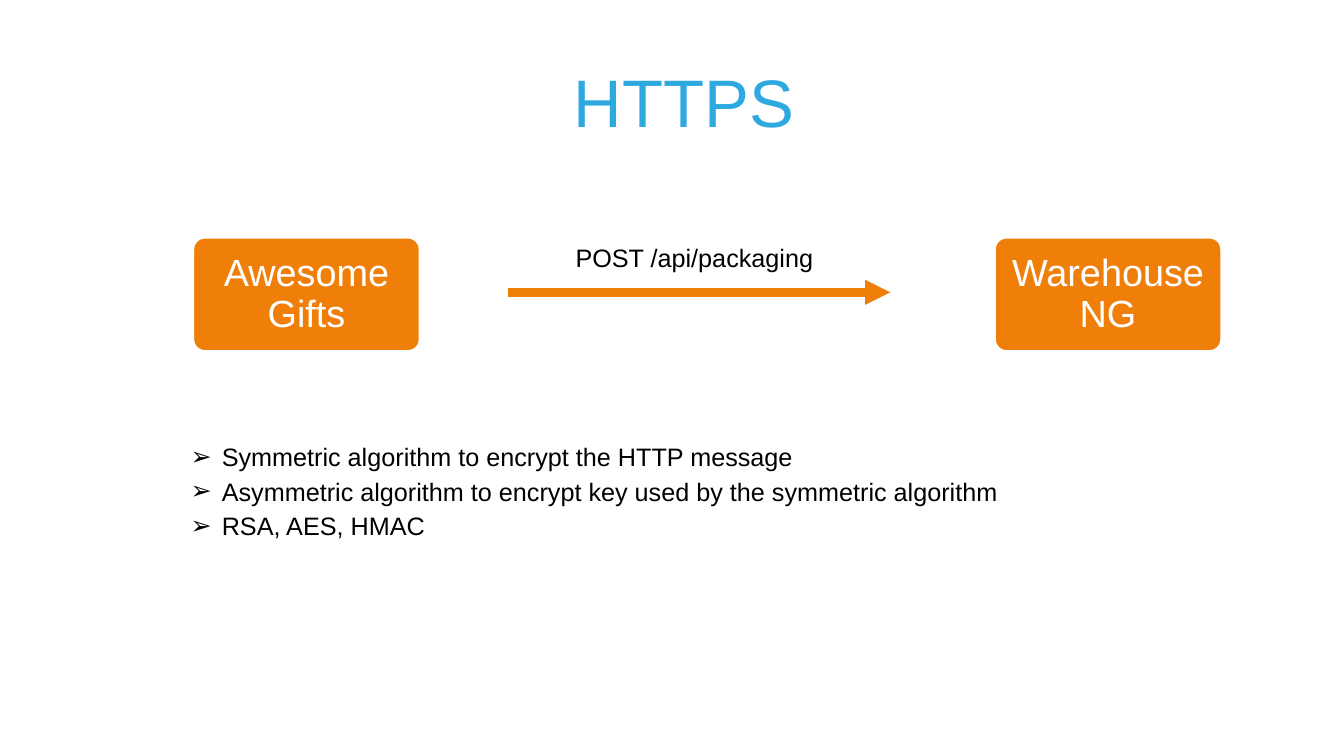
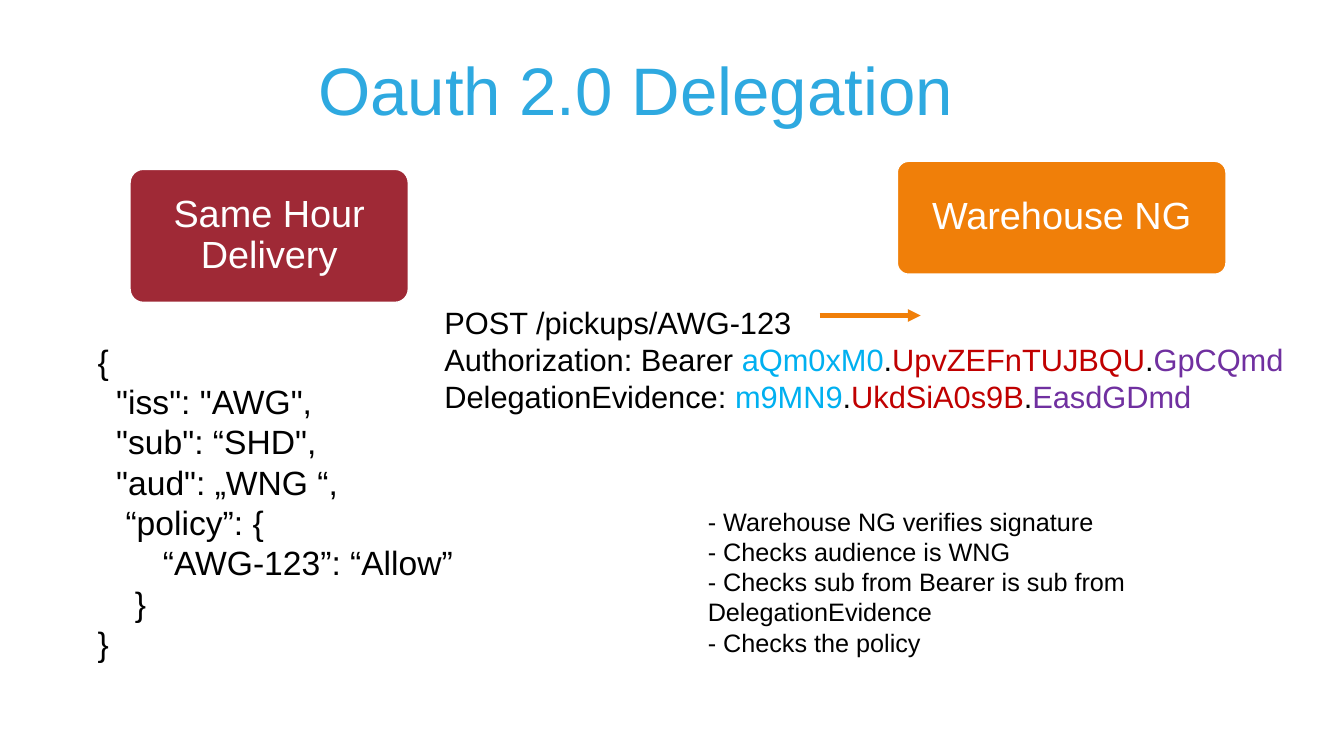
from dataclasses import dataclass

from lxml import etree
from pptx import Presentation
from pptx import util as u
from pptx.dml.color import RGBColor
from pptx.enum import shapes, text
from pptx.oxml import ns


@dataclass(frozen=True)
class Theme:
    font: str = "Arial"
    title: str = "2EA9E0"
    ink: str = "000000"
    white: str = "FFFFFF"
    orange: str = "F07F09"
    crimson: str = "9F2936"
    token_colors: tuple = ("00B0F0", "C00000", "7030A0")
    title_size: int = 48
    node_size: int = 27
    code_size: int = 24
    request_size: int = 22
    body_size: int = 18


THEME = Theme()
BULLET_INDENT = 0.31
NODE_MARGIN = 0.08


def rgb(color):
    return RGBColor.from_string(color)


def set_all(target, values):
    for name, value in values.items():
        setattr(target, name, value)


def place(shape, left, top, width, height):
    set_all(shape, {"left": u.Inches(left), "top": u.Inches(top),
                    "width": u.Inches(width), "height": u.Inches(height)})


# Text: a line is a string or a list of (string, color) spans
def write(frame, lines, size, color=THEME.ink, bullet=None, **para_format):
    set_all(frame, {"word_wrap": True, "auto_size": text.MSO_AUTO_SIZE.NONE})
    para_format = {"alignment": text.PP_ALIGN.LEFT, "space_before": u.Pt(0),
                   "space_after": u.Pt(0), **para_format}
    for index, line in enumerate(lines):
        para = frame.paragraphs[0] if index == 0 else frame.add_paragraph()
        set_all(para, para_format)
        set_bullet(para, bullet)
        spans = [(line, color)] if isinstance(line, str) else line
        for content, span_color in spans:
            span = para.add_run()
            span.text = content
            set_all(span.font, {"name": THEME.font, "size": u.Pt(size)})
            span.font.color.rgb = rgb(span_color)


def set_bullet(para, bullet):
    properties = para._p.get_or_add_pPr()
    indent = u.Inches(BULLET_INDENT) if bullet else 0
    properties.set("marL", str(indent))
    properties.set("indent", str(-indent))
    if bullet:
        etree.SubElement(properties, ns.qn("a:buChar")).set("char", bullet)
    else:
        etree.SubElement(properties, ns.qn("a:buNone"))


# Placeholders
def add_page(deck, title, left, top):
    page = deck.slides.add_slide(deck.slide_layouts[1])
    place(page.shapes.title, left, top, 11.27, 0.91)
    frame = page.shapes.title.text_frame
    frame.vertical_anchor = text.MSO_ANCHOR.TOP
    write(frame, [title], THEME.title_size, THEME.title,
          alignment=text.PP_ALIGN.CENTER)
    return page


def fill_body(page, lines, bounds, **options):
    body = page.placeholders[1]
    place(body, *bounds)
    write(body.text_frame, lines, THEME.body_size, **options)


# Drawn elements
def add_text(page, lines, bounds, size):
    box = page.shapes.add_textbox(*map(u.Inches, bounds))
    write(box.text_frame, lines, size)


def add_node(page, label, bounds, color=THEME.orange):
    node = page.shapes.add_shape(shapes.MSO_SHAPE.ROUNDED_RECTANGLE,
                                 *map(u.Inches, bounds))
    node.adjustments[0] = 0.1
    node.shadow.inherit = False
    node.fill.solid()
    node.fill.fore_color.rgb = rgb(color)
    node.line.color.rgb = rgb(THEME.white)
    node.line.width = u.Pt(1)
    frame = node.text_frame
    frame.vertical_anchor = text.MSO_ANCHOR.MIDDLE
    sides = ("left", "top", "right", "bottom")
    set_all(frame, {f"margin_{side}": u.Inches(NODE_MARGIN) for side in sides})
    write(frame, [label], THEME.node_size, THEME.white,
          alignment=text.PP_ALIGN.CENTER, line_spacing=0.9)


def add_arrow(page, start, end, y, width):
    arrow = page.shapes.add_connector(
        shapes.MSO_CONNECTOR.STRAIGHT, *map(u.Inches, (start, y, end, y)))
    arrow.line.color.rgb = rgb(THEME.orange)
    arrow.line.width = u.Pt(width)
    line = arrow.line._get_or_add_ln()
    etree.SubElement(line, ns.qn("a:tailEnd")).set("type", "triangle")
    etree.SubElement(arrow._element.spPr, ns.qn("a:effectLst"))


def token_line(header, *parts):
    spans = [(header, THEME.ink)]
    for index, part in enumerate(zip(parts, THEME.token_colors)):
        if index:
            spans.append((".", THEME.ink))
        spans.append(part)
    return spans


# Pages
def build_https(deck):
    page = add_page(deck, "HTTPS", 1.15, 0.55)
    for label, left in (("Awesome Gifts", 1.92), ("Warehouse NG", 9.87)):
        add_node(page, label, (left, 2.36, 2.24, 1.12))
    add_arrow(page, 5.04, 8.83, 2.9, 6)
    add_text(page, ["POST /api/packaging"], (5.61, 2.36, 3.43, 0.4),
             THEME.body_size)
    fill_body(page, [
        "Symmetric algorithm to encrypt the HTTP message",
        "Asymmetric algorithm to encrypt key used by the symmetric algorithm",
        "RSA, AES, HMAC",
    ], (1.79, 4.33, 8.6, 1.09), bullet="➢", space_after=u.Pt(3))


def build_delegation(deck):
    page = add_page(deck, "Oauth 2.0 Delegation", 0.67, 0.43)
    add_node(page, "Warehouse NG", (8.9, 1.6, 3.26, 1.12))
    add_node(page, "Same Hour Delivery", (1.29, 1.68, 2.76, 1.32),
             THEME.crimson)
    add_text(page, [
        '{',
        '  "iss": "AWG",',
        '  "sub": “SHD",',
        '  "aud": „WNG “,',
        '   “policy”: {',
        '       “AWG-123”: “Allow”',
        '    }',
        '}',
    ], (0.87, 3.33, 3.94, 3.33), THEME.code_size)
    fill_body(page, [
        "- Warehouse NG verifies signature",
        "- Checks audience is WNG",
        "- Checks sub from Bearer is sub from DelegationEvidence",
        "- Checks the policy",
    ], (6.92, 4.97, 5.24, 1.92))
    add_text(page, [
        "POST /pickups/AWG-123",
        token_line("Authorization: Bearer ",
                   "aQm0xM0", "UpvZEFnTUJBQU", "GpCQmd"),
        token_line("DelegationEvidence: ", "m9MN9", "UkdSiA0s9B", "EasdGDmd"),
    ], (4.31, 2.96, 9, 1.51), THEME.request_size)
    add_arrow(page, 8.13, 9.13, 3.13, 3)


def main():
    deck = Presentation()
    deck.slide_width = u.Inches(13.33)
    deck.slide_height = u.Inches(7.5)
    build_https(deck)
    build_delegation(deck)
    deck.save("out.pptx")


if __name__ == "__main__":
    main()
